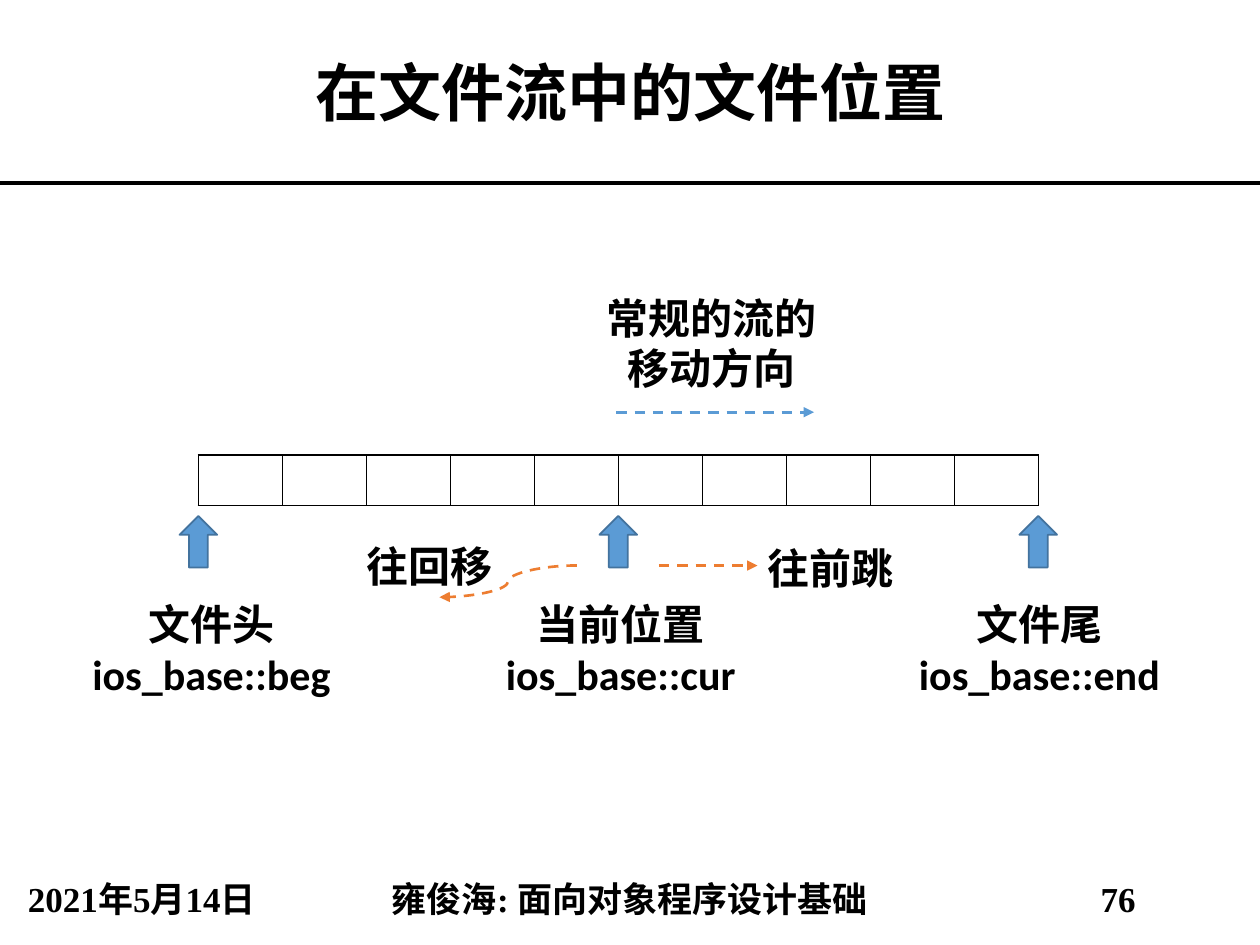
from dataclasses import dataclass

from lxml.etree import SubElement as Sub
from pptx import Presentation
from pptx.dml.color import RGBColor as RGB
from pptx.enum.dml import MSO_LINE as Dash
from pptx.enum.shapes import MSO_CONNECTOR as Conn, MSO_SHAPE as Kind
from pptx.enum.text import MSO_ANCHOR as Anchor, PP_ALIGN as Align
from pptx.oxml.ns import qn
from pptx.util import Cm, Pt


@dataclass(frozen=True)
class Theme:
    ink: str = "000000"
    blue: str = "5B9BD5"
    edge: str = "43739E"
    warm: str = "ED7D31"
    serif: str = "Times New Roman"
    sans: str = "Calibri"
    head: int = 36
    body: int = 24
    foot: int = 20


class Page:
    """Holds the theme and the current slide."""

    def __init__(self, deck, theme):
        self.theme = theme
        self.slide = deck.slides.add_slide(deck.slide_layouts[5])
        self.items = self.slide.shapes

    def words(self, frame, lines, size, face, anchor, gap=None):
        frame.word_wrap = True
        frame.vertical_anchor = anchor
        form = {"size": Pt(size), "name": face, "bold": True}
        for i, line in enumerate(lines):
            para = frame.add_paragraph() if i else frame.paragraphs[0]
            para.alignment = Align.CENTER
            if gap:
                para.line_spacing = gap
            run = para.add_run()
            run.text = line
            for key, value in form.items():
                setattr(run.font, key, value)
            run.font.color.rgb = RGB.from_string(self.theme.ink)

    def title(self, text, high):
        box = self.items.title
        place = {"left": 0, "top": 0, "width": Cm(25.4), "height": Cm(high)}
        for key, value in place.items():
            setattr(box, key, value)
        self.words(box.text_frame, [text], self.theme.head,
                   self.theme.serif, Anchor.MIDDLE)

    def foot(self, text, left, wide):
        box = self.items.add_textbox(Cm(left), Cm(17.65), Cm(wide), Cm(1.02))
        self.words(box.text_frame, [text], self.theme.foot,
                   self.theme.serif, Anchor.MIDDLE, 0.9)

    def label(self, lines, left, top, wide, high):
        box = self.items.add_textbox(Cm(left), Cm(top), Cm(wide), Cm(high))
        self.words(box.text_frame, lines, self.theme.body,
                   self.theme.sans, Anchor.TOP)

    def line(self, start, end, color, width, kind=Conn.STRAIGHT, arrow=True):
        link = self.items.add_connector(kind, *map(Cm, start + end))
        link.line.color.rgb = RGB.from_string(color)
        link.line.width = Pt(width)
        props = link._element.spPr
        if arrow:
            link.line.dash_style = Dash.DASH
            Sub(props.find(qn("a:ln")), qn("a:tailEnd"), type="triangle")
        Sub(props, qn("a:effectLst"))

    def mark(self, mid, top):
        """Upward block arrow centred on mid."""
        wide, high = 1.04, 0.76
        mark = self.items.add_shape(Kind.RIGHT_ARROW, Cm(mid - wide / 2),
                                    Cm(top), Cm(wide), Cm(high))
        mark.rotation = 270
        mark.shadow.inherit = False
        mark.fill.solid()
        mark.fill.fore_color.rgb = RGB.from_string(self.theme.blue)
        mark.line.color.rgb = RGB.from_string(self.theme.edge)
        mark.line.width = Pt(1)

    def strip(self, left, top, wide, high, count):
        """One-row table of equal cells."""
        table = self.items.add_table(1, count, Cm(left), Cm(top),
                                     Cm(wide), Cm(high)).table
        table.first_row = table.horz_banding = False
        for cell in table.iter_cells():
            cell.margin_top = cell.margin_bottom = 0
            props = cell._tc.get_or_add_tcPr()
            for side in "LRTB":
                edge = Sub(props, qn(f"a:ln{side}"), w=str(Pt(1)))
                fill = Sub(edge, qn("a:solidFill"))
                Sub(fill, qn("a:srgbClr"), val=self.theme.ink)
            cell.fill.background()


def main():
    deck = Presentation()
    deck.slide_width, deck.slide_height = Cm(25.4), Cm(19.05)
    theme = Theme()
    page = Page(deck, theme)

    # Title and rule
    rule = 3.69
    page.title("在文件流中的文件位置", rule)
    page.line((0, rule), (25.4, rule), theme.ink, 2.25, arrow=False)

    # Footer
    side, mid = 5.72, 13.96
    page.foot("2021年5月14日", 0, side)
    page.foot("雍俊海: 面向对象程序设计基础", side, mid)
    page.foot("76", side + mid, side)

    # File cells
    left, wide = 4, 16.93
    page.strip(left, 9.17, wide, 1.02, 10)

    # Positions at the start, middle and end of the cells
    spots = [("文件头", "beg", 1.55), ("当前位置", "cur", 9.8),
             ("文件尾", "end", 18.24)]
    for i, (name, code, start) in enumerate(spots):
        page.mark(left + wide * i / 2, 10.54)
        page.label([name, f"ios_base::{code}"], start, 11.94, 5.43, 2.31)

    # Moves
    page.label(["常规的流的移动方向"], 11.63, 5.77, 5.43, 2.31)
    page.line((12.42, 8.31), (16.41, 8.31), theme.blue, 1.5)
    page.label(["往回移"], 6.96, 10.77, 3.4, 1.27)
    page.line((11.63, 11.4), (8.86, 12.04), theme.warm, 1.5, Conn.CURVE)
    page.label(["往前跳"], 15.04, 10.82, 3.4, 1.27)
    page.line((13.28, 11.4), (15.27, 11.4), theme.warm, 1.5)

    deck.save("out.pptx")


if __name__ == "__main__":
    main()
